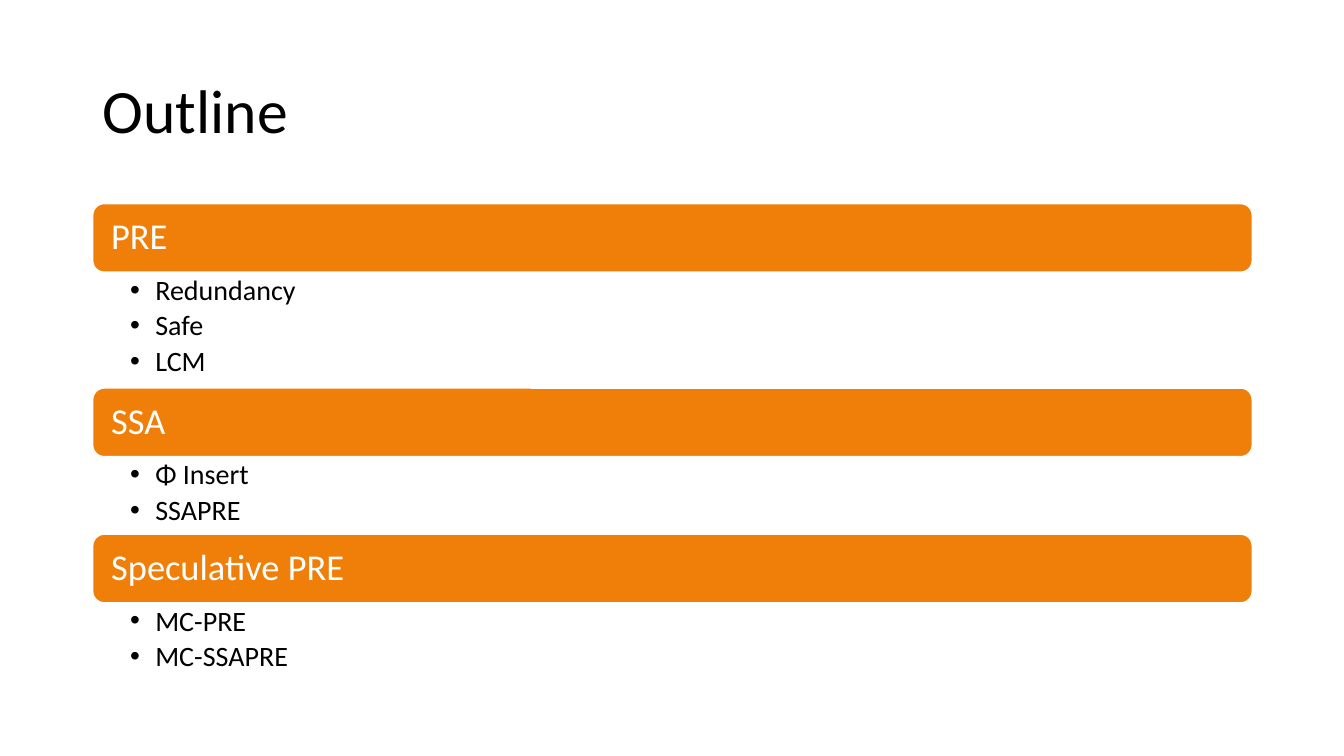
from dataclasses import dataclass

from lxml import etree
from pptx import Presentation
from pptx.dml.color import RGBColor
from pptx.enum.shapes import MSO_SHAPE as Preset
from pptx.enum.text import MSO_ANCHOR as Anchor, MSO_AUTO_SIZE as AutoSize, PP_ALIGN as Align
from pptx.oxml.ns import qn
from pptx.util import Inches, Pt


@dataclass(frozen=True)
class Theme:
    font: str = "Calibri"
    accent: RGBColor = RGBColor(0xF0, 0x7F, 0x09)
    light: RGBColor = RGBColor(0xFF, 0xFF, 0xFF)
    dark: RGBColor = RGBColor(0, 0, 0)
    title_size: int = 44
    topic_size: int = 26
    item_size: int = 20


THEME = Theme()

# Shared column and vertical rhythm, in inches
LEFT, WIDTH = 0.92, 11.5
OUTLINE_TOP, BAR_HEIGHT = 2.02, 0.68
ITEM_HEIGHT, LIST_PADDING = 0.38, 0.01
BULLET_INDENT = 0.25

OUTLINE = [
    ("PRE", ["Redundancy", "Safe", "LCM"]),
    ("SSA", ["Φ Insert", "SSAPRE"]),
    ("Speculative PRE", ["MC-PRE", "MC-SSAPRE"]),
]


def place(shape, top, height):
    shape.left, shape.top = Inches(LEFT), Inches(top)
    shape.width, shape.height = Inches(WIDTH), Inches(height)


def set_bullet(paragraph):
    properties = paragraph._p.get_or_add_pPr()
    properties.set("marL", str(Inches(BULLET_INDENT)))
    properties.set("indent", str(-Inches(BULLET_INDENT)))
    etree.SubElement(properties, qn("a:buChar"), char="•")


def write(shape, lines, *, size, color, anchor=Anchor.MIDDLE,
          insets=(0.1, 0.05, 0.1, 0.05), space_after=0, bulleted=False):
    """Fill a shape with one formatted paragraph per line."""
    frame = shape.text_frame
    frame.text = "\n".join(lines)
    frame.word_wrap = True
    frame.auto_size = AutoSize.NONE
    frame.vertical_anchor = anchor
    (frame.margin_left, frame.margin_top,
     frame.margin_right, frame.margin_bottom) = map(Inches, insets)
    for paragraph in frame.paragraphs:
        paragraph.alignment = Align.LEFT
        paragraph.line_spacing = 0.9
        paragraph.space_before = Pt(0)
        paragraph.space_after = Pt(space_after)
        if bulleted:
            set_bullet(paragraph)
        for run in paragraph.runs:
            run.font.name = THEME.font
            run.font.size = Pt(size)
            run.font.bold = False
            run.font.color.rgb = color


def add_topic_bar(slide, topic, top):
    bar = slide.shapes.add_shape(Preset.ROUNDED_RECTANGLE, Inches(LEFT), Inches(top),
                                 Inches(WIDTH), Inches(BAR_HEIGHT))
    bar.shadow.inherit = False
    bar.fill.solid()
    bar.fill.fore_color.rgb = THEME.accent
    bar.line.color.rgb = THEME.light
    bar.line.width = Pt(1)
    write(bar, [topic], size=THEME.topic_size, color=THEME.light,
          insets=(0.15, 0.11, 0.15, 0.11))


def fill_item_list(body, items, top, height):
    place(body, top, height)
    write(body, items, size=THEME.item_size, color=THEME.dark, anchor=Anchor.TOP,
          insets=(0.37, 0.04, 0.2, 0.04), space_after=3.7, bulleted=True)


def main():
    deck = Presentation()
    deck.slide_width, deck.slide_height = Inches(13.33), Inches(7.5)
    # The Comparison layout offers a title and four text bodies
    slide = deck.slides.add_slide(deck.slide_layouts.get_by_name("Comparison"))

    # Title
    title = slide.shapes.title
    place(title, 0.4, 1.45)
    write(title, ["Outline"], size=THEME.title_size, color=THEME.dark)

    # Topics, each bar followed by its list
    bodies = [holder for holder in slide.placeholders if holder.placeholder_format.idx > 0]
    top = OUTLINE_TOP
    for body, (topic, items) in zip(bodies, OUTLINE):
        add_topic_bar(slide, topic, top)
        list_height = ITEM_HEIGHT * len(items) + LIST_PADDING
        fill_item_list(body, items, top + BAR_HEIGHT, list_height)
        top += BAR_HEIGHT + list_height

    # Unused bodies
    for body in bodies[len(OUTLINE):]:
        body.element.getparent().remove(body.element)

    deck.save("out.pptx")


if __name__ == "__main__":
    main()
